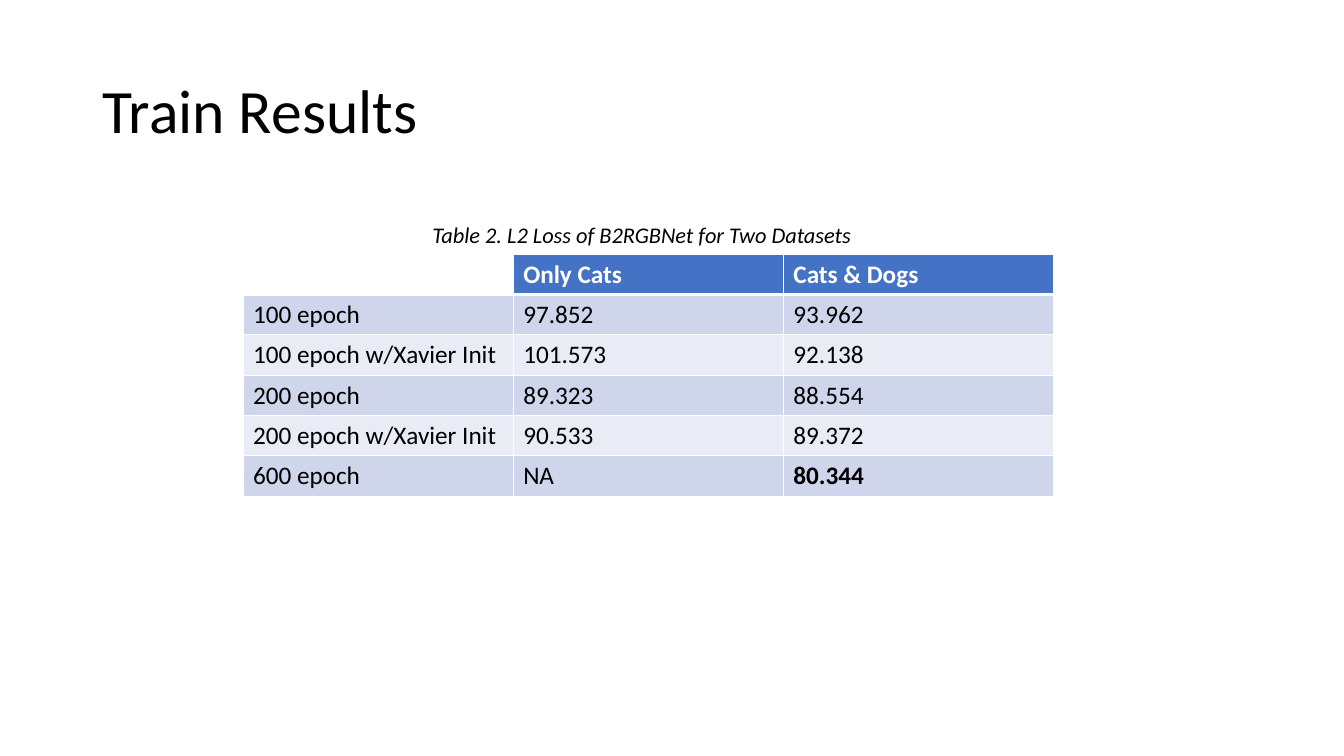
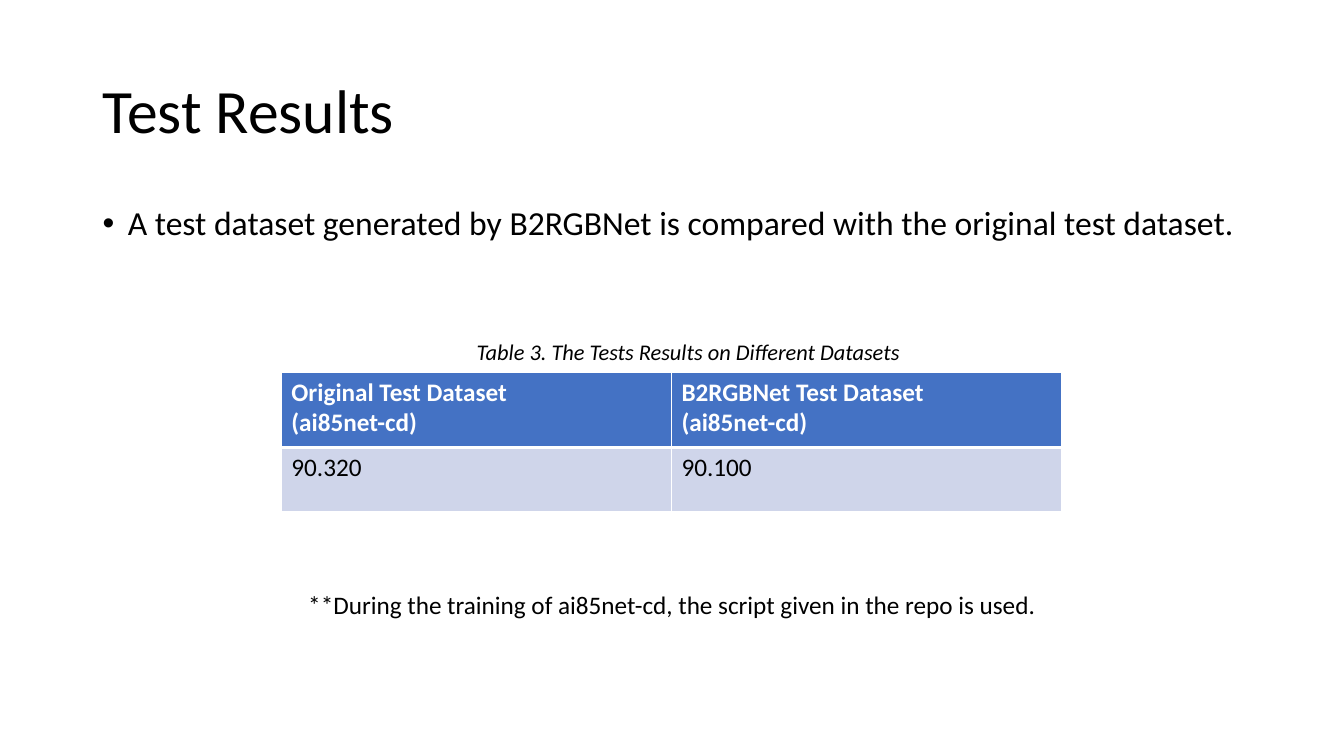
from lxml.etree import SubElement
from pptx import Presentation
from pptx.dml.color import RGBColor
from pptx.enum.text import MSO_ANCHOR, PP_ALIGN
from pptx.oxml.ns import qn
from pptx.util import Inches, Pt

# Content
TRAIN = {
    "title": "Train Results",
    "caption": ("Table 2. L2 Loss of B2RGBNet for Two Datasets", (4.19, 2.14, 4.47, 0.37)),
    "place": (2.41, 2.52),
    "width": 2.68,
    "heights": [0.4] * 6,
    "rows": [
        ("", "Only Cats", "Cats & Dogs"),
        ("100 epoch", "97.852", "93.962"),
        ("100 epoch w/Xavier Init", "101.573", "92.138"),
        ("200 epoch", "89.323", "88.554"),
        ("200 epoch w/Xavier Init", "90.533", "89.372"),
        ("600 epoch", "NA", "80.344"),
    ],
    "best": "80.344",
}
TEST = {
    "title": "Test Results",
    "bullet": "A test dataset generated by B2RGBNet is compared with the original test dataset.",
    "caption": ("Table 3. The Tests Results on Different Datasets", (4.63, 3.31, 4.55, 0.37)),
    "place": (2.79, 3.69),
    "width": 3.87,
    "heights": [0.75, 0.64],
    "rows": [
        ("Original Test Dataset\n(ai85net-cd)", "B2RGBNet Test Dataset\n(ai85net-cd)"),
        ("90.320", "90.100"),
    ],
    "note": "**During the training of ai85net-cd, the script given in the repo is used.",
}

# Shared style
FONT = "Calibri"
BLACK, WHITE, HEAD = "000000", "FFFFFF", "4472C4"
BANDS = ("CFD5EA", "E9EBF5")
TITLE = (0.92, 0.4, 11.5, 1.45)
BODY = (0.92, 2, 11.5, 4.76)
NOTE = (2.27, 5.8, 8.79, 0.4)


def color(code):
    return RGBColor.from_string(code)


def write(frame, text, size=18, ink=BLACK, bold=False, italic=False,
          align=PP_ALIGN.LEFT, lead=None, before=None, bullet=False):
    for i, line in enumerate(text.split("\n")):
        para = frame.add_paragraph() if i else frame.paragraphs[0]
        para.alignment = align
        para.line_spacing = lead
        if before:
            para.space_before = Pt(before)
        if bullet:
            props = para._p.get_or_add_pPr()
            props.set("marL", str(Inches(0.25)))
            props.set("indent", str(-Inches(0.25)))
            SubElement(props, qn("a:buFont"), typeface="Arial")
            SubElement(props, qn("a:buChar"), char="•")
        run = para.add_run()
        run.text = line
        font = run.font
        font.name, font.size, font.bold, font.italic = FONT, Pt(size), bold, italic
        font.color.rgb = color(ink)


def label(slide, text, box, wrap=True, anchor=MSO_ANCHOR.TOP, **style):
    frame = slide.shapes.add_textbox(*map(Inches, box)).text_frame
    frame.word_wrap = wrap
    frame.vertical_anchor = anchor
    write(frame, text, **style)


def edge(cell, top, base):
    props = cell._tc.get_or_add_tcPr()
    for side, width in (("L", 1), ("R", 1), ("T", top), ("B", base)):
        line = SubElement(props, qn("a:ln" + side), w=str(Pt(width)))
        fill = SubElement(line, qn("a:solidFill"))
        SubElement(fill, qn("a:srgbClr"), val=WHITE)


def grid(slide, data):
    rows, heights, width = data["rows"], data["heights"], data["width"]
    cols = len(rows[0])
    size = (width * cols, sum(heights))
    table = slide.shapes.add_table(
        len(rows), cols, *map(Inches, data["place"] + size)).table
    table.horz_banding = False
    for col in table.columns:
        col.width = Inches(width)
    for r, (row, height) in enumerate(zip(rows, heights)):
        table.rows[r].height = Inches(height)
        for c, text in enumerate(row):
            cell = table.cell(r, c)
            # The header row has a thick lower edge
            edge(cell, 3 if r == 1 else 1, 1 if r else 3)
            if not text:
                cell.fill.background()
                continue
            cell.fill.solid()
            cell.fill.fore_color.rgb = color(BANDS[(r - 1) % 2] if r else HEAD)
            write(cell.text_frame, text, ink=BLACK if r else WHITE,
                  bold=r == 0 or text == data.get("best"))


def build(deck, data):
    slide = deck.slides.add_slide(deck.slide_layouts[6])
    label(slide, data["title"], TITLE, anchor=MSO_ANCHOR.MIDDLE, size=44, lead=0.9)
    if "bullet" in data:
        label(slide, data["bullet"], BODY, size=24, lead=0.9, before=10, bullet=True)
    grid(slide, data)
    text, box = data["caption"]
    label(slide, text, box, wrap=False, size=16, italic=True)
    if "note" in data:
        label(slide, data["note"], NOTE, align=PP_ALIGN.CENTER)


def main():
    deck = Presentation()
    deck.slide_width, deck.slide_height = Inches(13.33), Inches(7.5)
    for data in (TRAIN, TEST):
        build(deck, data)
    deck.save("out.pptx")


if __name__ == "__main__":
    main()
